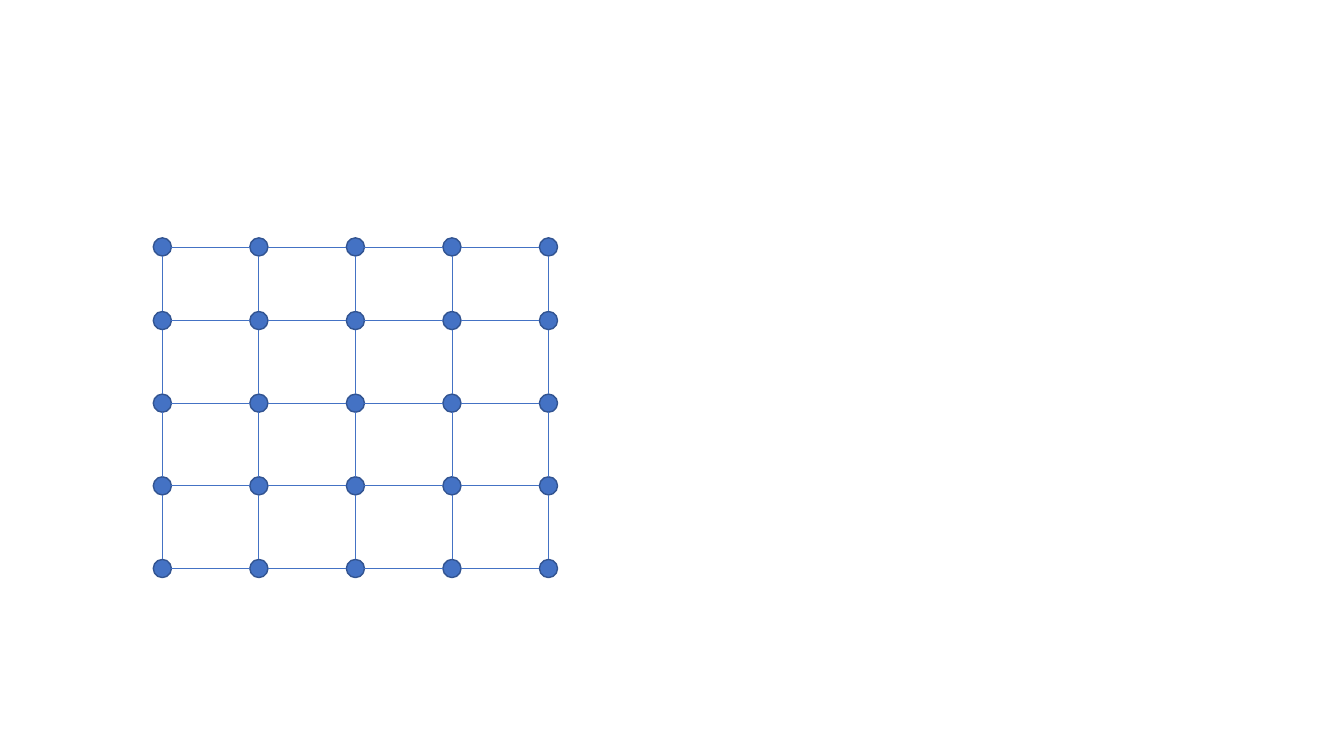
from pptx import Presentation
from pptx.dml.color import RGBColor
from pptx.enum import shapes
from pptx.oxml import ns, xmlchemy
from pptx.util import Inches, Pt

COLUMNS = [1.61 + 0.9575 * column for column in range(5)]
# The first row gap is smaller than the others.
ROWS = [2.45] + [3.18 + 0.82 * row for row in range(4)]
DIAMETER = 0.18
RADIUS = DIAMETER / 2


def color(hex_code):
    return RGBColor.from_string(hex_code)


class GridSlide:
    node_fill = "4472C4"
    node_outline = "325491"
    edge_color = "4472C4"
    node_width = 1
    edge_width = 0.5

    def __init__(self, slide):
        self.slide = slide

    def node(self, x, y):
        """Draw a dot centred on x, y."""
        shape = self.slide.shapes.add_shape(
            shapes.MSO_SHAPE.OVAL, Inches(x - RADIUS), Inches(y - RADIUS),
            Inches(DIAMETER), Inches(DIAMETER))
        shape.shadow.inherit = False
        shape.fill.solid()
        shape.fill.fore_color.rgb = color(self.node_fill)
        shape.line.color.rgb = color(self.node_outline)
        shape.line.width = Pt(self.node_width)

    def edge(self, x1, y1, x2, y2):
        connector = self.slide.shapes.add_connector(
            shapes.MSO_CONNECTOR.STRAIGHT,
            Inches(x1), Inches(y1), Inches(x2), Inches(y2))
        connector.line.color.rgb = color(self.edge_color)
        connector.line.width = Pt(self.edge_width)
        properties = connector._element.spPr
        properties.append(xmlchemy.OxmlElement("a:effectLst"))


def main():
    presentation = Presentation()
    presentation.slide_width = Inches(13.33)
    presentation.slide_height = Inches(7.5)
    blank_layout = presentation.slide_layouts[6]
    grid = GridSlide(presentation.slides.add_slide(blank_layout))

    for y in ROWS:
        for x in COLUMNS:
            grid.node(x, y)
        for left, right in zip(COLUMNS, COLUMNS[1:]):
            grid.edge(left + RADIUS, y, right - RADIUS, y)
    for top, bottom in zip(ROWS, ROWS[1:]):
        for x in COLUMNS:
            grid.edge(x, top + RADIUS, x, bottom - RADIUS)

    presentation.save("out.pptx")


if __name__ == "__main__":
    main()
